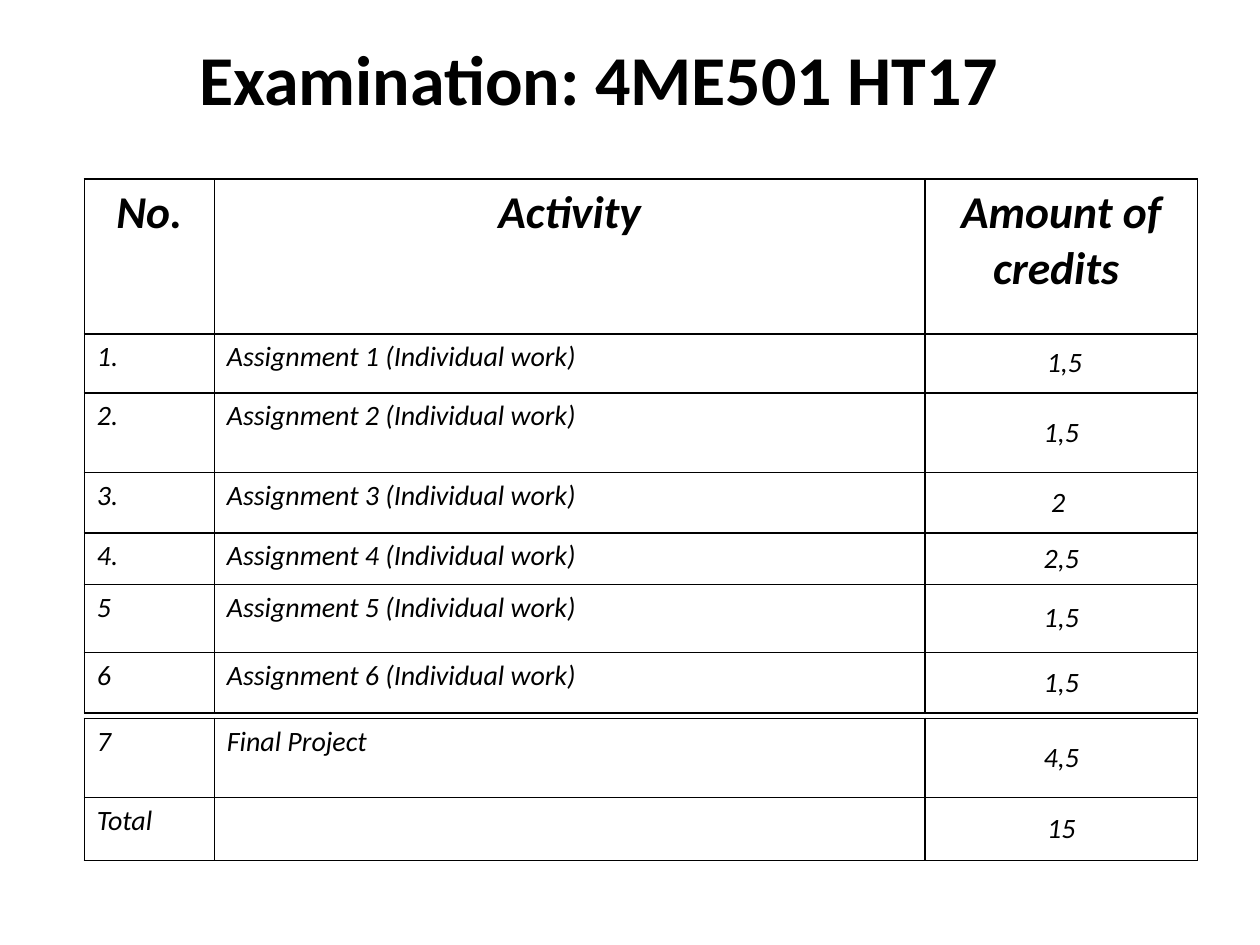
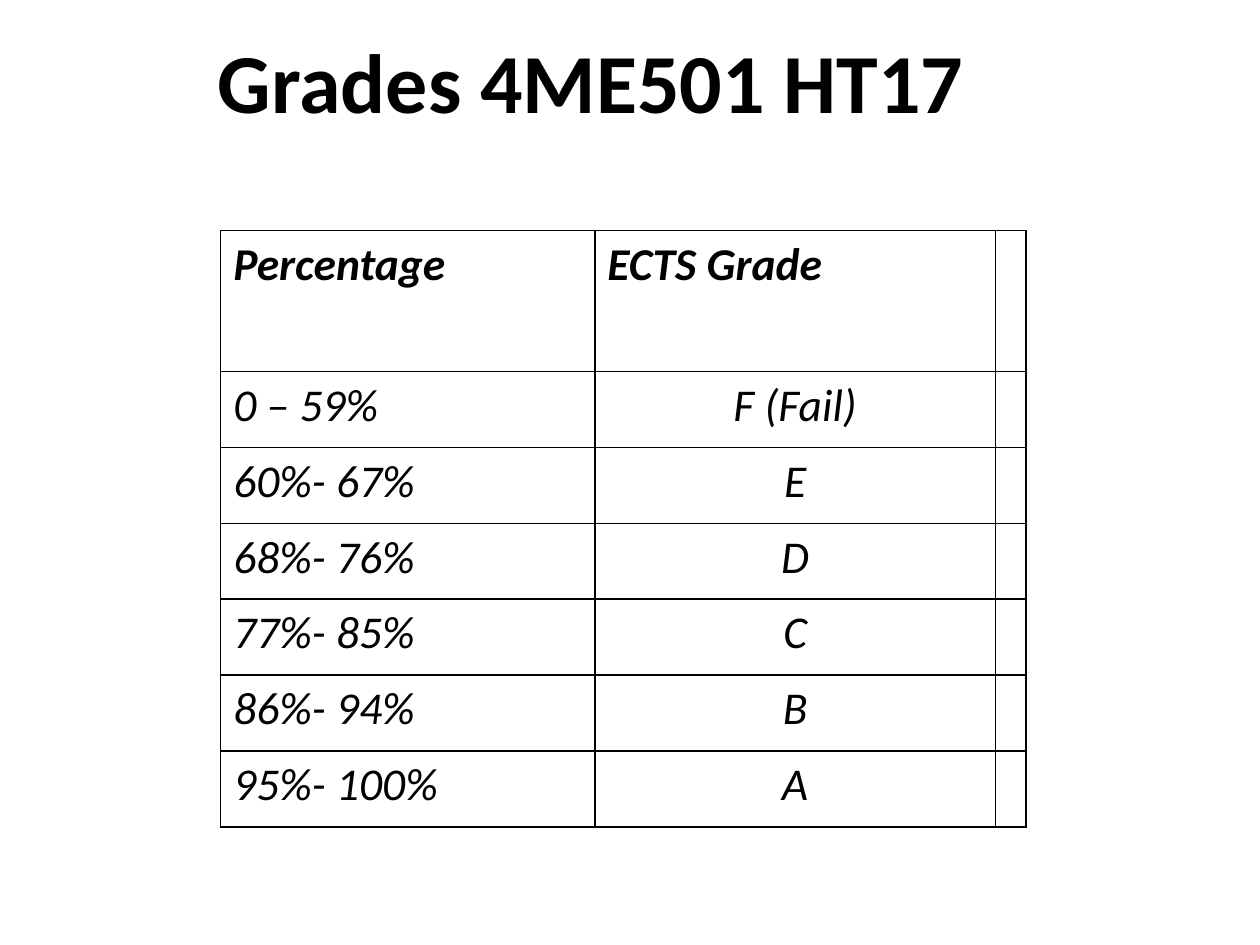
"""Build the examination and grades slides of the 4ME501 course."""
from dataclasses import dataclass

from lxml.etree import SubElement as Sub
from pptx import Presentation
from pptx.dml.color import RGBColor as Rgb
from pptx.enum.text import MSO_ANCHOR as Anchor, MSO_AUTO_SIZE as Fit, PP_ALIGN as Align
from pptx.oxml.ns import qn
from pptx.slide import Slide
from pptx.table import _Cell as Cell
from pptx.text.text import TextFrame as Frame
from pptx.util import Cm, Pt

INK = "000000"
FONT = "Calibri"


@dataclass
class Grid:
    left: float
    top: float
    cols: list[float]
    rows: list[float]
    data: list[tuple[str, ...]]
    mid: int
    size: int
    head: bool = True
    head_align: Align = Align.LEFT
    anchor: Anchor = Anchor.TOP


def style(frame: Frame, size: int, bold: bool, slant: bool, align: Align) -> None:
    for para in frame.paragraphs:
        para.alignment = align
        for run in para.runs:
            font = run.font
            font.name, font.size = FONT, Pt(size)
            font.bold, font.italic = bold, slant
            font.color.rgb = Rgb.from_string(INK)


def border(cell: Cell, width: float = 1) -> None:
    props = cell._tc.get_or_add_tcPr()
    for side in ("lnL", "lnR", "lnT", "lnB"):
        line = Sub(props, qn(f"a:{side}"), w=str(Pt(width)))
        Sub(Sub(line, qn("a:solidFill")), qn("a:srgbClr"), val=INK)


def add_title(slide: Slide, text: str, left: float, top: float, size: int) -> None:
    title = slide.shapes.title
    title.left, title.top = Cm(left), Cm(top)
    title.width, title.height = Cm(21.59), Cm(3.18)
    frame = title.text_frame
    frame.text = text
    frame.auto_size = Fit.NONE
    frame.vertical_anchor = Anchor.BOTTOM
    style(frame, size, True, False, Align.CENTER)


def add_grid(slide: Slide, grid: Grid) -> None:
    table = slide.shapes.add_table(
        len(grid.rows), len(grid.cols), Cm(grid.left), Cm(grid.top),
        Cm(sum(grid.cols)), Cm(sum(grid.rows))).table
    table.first_row = table.horz_banding = False
    for col, width in zip(table.columns, grid.cols):
        col.width = Cm(width)
    for r, (row, height) in enumerate(zip(table.rows, grid.rows)):
        row.height = Cm(height)
        top = grid.head and r == 0
        for c, text in enumerate(grid.data[r]):
            cell = table.cell(r, c)
            cell.text_frame.text = text
            body = Align.CENTER if c == grid.mid else Align.LEFT
            style(cell.text_frame, 26 if top else grid.size, top, True,
                  grid.head_align if top else body)
            if c == grid.mid and not top:
                cell.vertical_anchor = grid.anchor
            border(cell)
            cell.fill.background()


deck = Presentation()
deck.slide_width, deck.slide_height = Cm(25.4), Cm(19.05)
plain = deck.slide_layouts[5]

exam = deck.slides.add_slide(plain)
add_title(exam, "Examination: 4ME501 HT17", 1.27, -0.64, 40)
marks = [" 1,5", "1,5", "2 ", "2,5", "1,5", "1,5"]
tasks = [(f"{n}." if n < 5 else str(n), f"Assignment {n} (Individual work)", mark)
         for n, mark in enumerate(marks, 1)]
widths = [2.62, 14.33, 5.49]
add_grid(exam, Grid(
    1.7, 3.61, widths, [3.12, 1.19, 1.6, 1.22, 1.04, 1.37, 1.22],
    [("No.", "Activity", "Amount of credits "), *tasks], 2, 16,
    head_align=Align.CENTER, anchor=Anchor.MIDDLE))
add_grid(exam, Grid(
    1.7, 14.48, widths, [1.6, 1.27],
    [("7", "Final Project ", "4,5"), ("Total ", "", "15")], 2, 16,
    head=False, anchor=Anchor.MIDDLE))

marking = deck.slides.add_slide(plain)
add_title(marking, "Grades 4ME501 HT17", 1.12, -0.43, 48)
bands = ["0 – 59%", "60%- 67%", "68%- 76%", "77%- 85%", "86%- 94%", "95%- 100%"]
grades = ["F (Fail)", *"EDCBA"]
add_grid(marking, Grid(
    4.45, 4.65, [7.54, 8.08, 0.61], [2.84] + [1.53] * len(bands),
    [("Percentage ", "ECTS Grade", ""),
     *((band, grade, "") for band, grade in zip(bands, grades))], 1, 26))

deck.save("out.pptx")
